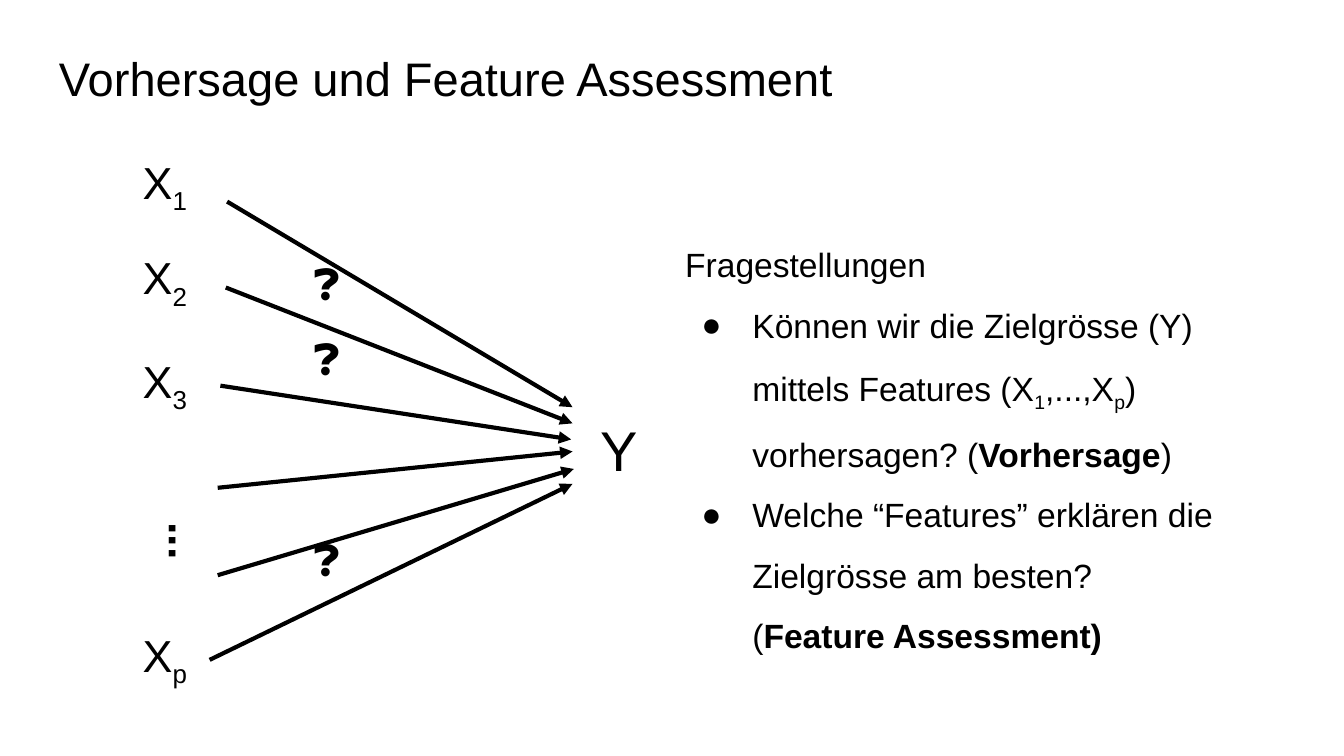
from dataclasses import dataclass
from typing import NamedTuple

from lxml.etree import SubElement as Sub
from pptx import Presentation
from pptx.dml.color import RGBColor as Rgb
from pptx.enum.shapes import MSO_CONNECTOR as Link
from pptx.enum.text import MSO_ANCHOR as Anchor, MSO_AUTO_SIZE as Fit
from pptx.oxml.ns import qn
from pptx.util import Inches, Pt


@dataclass(frozen=True)
class Theme:
    font: str = "Arial"
    ink: str = "000000"
    title: float = 25.2
    node: float = 24
    goal: float = 30
    body: float = 18
    mark: float = 21
    line: float = 2.25


class Run(NamedTuple):
    text: str
    bold: bool = False
    sub: bool = False


class Para(NamedTuple):
    runs: list[Run]
    bullet: bool = False


class Box(NamedTuple):
    """Place in percent of the slide's width and height."""
    x: float
    y: float
    w: float
    h: float


class Arrow(NamedTuple):
    """Ends in percent of the slide's width and height."""
    x1: float
    y1: float
    x2: float
    y2: float


theme = Theme()
deck = Presentation()
deck.slide_width = Inches(10)
deck.slide_height = deck.slide_width * 9 // 16
slide = deck.slides.add_slide(deck.slide_layouts[6])


def scale(place: Box | Arrow) -> list[int]:
    """Turn percent pairs into slide lengths."""
    sides = (deck.slide_width, deck.slide_height) * 2
    return [round(part * side / 100) for part, side in zip(place, sides)]


def add_dot(para) -> None:
    """Give a paragraph a round bullet and a hanging indent."""
    props = para._p.get_or_add_pPr()
    props.set("marL", str(Inches(0.5)))
    props.set("indent", str(Inches(-0.38)))
    color = Sub(props, qn("a:buClr"))
    Sub(color, qn("a:srgbClr"), val=theme.ink)
    Sub(props, qn("a:buFont"), typeface=theme.font)
    Sub(props, qn("a:buChar"), char="●")


def add_text(box: Box, paras: list[Para], size: float, lead: float = 1,
             turn: float = 0, anchor=Anchor.TOP, fit=Fit.SHAPE_TO_FIT_TEXT) -> None:
    shape = slide.shapes.add_textbox(*scale(box))
    shape.rotation = turn
    frame = shape.text_frame
    pad = Inches(0.1)
    form = {"word_wrap": True, "auto_size": fit, "vertical_anchor": anchor,
            "margin_left": pad, "margin_right": pad,
            "margin_top": pad, "margin_bottom": pad}
    for name, value in form.items():
        setattr(frame, name, value)
    for i, item in enumerate(paras):
        para = frame.add_paragraph() if i else frame.paragraphs[0]
        para.line_spacing = lead
        if item.bullet:
            add_dot(para)
        for part in item.runs:
            run = para.add_run()
            run.text = part.text
            style = {"name": theme.font, "size": Pt(size), "bold": part.bold}
            for name, value in style.items():
                setattr(run.font, name, value)
            run.font.color.rgb = Rgb.from_string(theme.ink)
            if part.sub:
                run._r.get_or_add_rPr().set("baseline", "-25000")


def add_arrow(arrow: Arrow) -> None:
    link = slide.shapes.add_connector(Link.STRAIGHT, *scale(arrow))
    link.line.width = Pt(theme.line)
    link.line.color.rgb = Rgb.from_string(theme.ink)
    Sub(link.line._get_or_add_ln(), qn("a:tailEnd"), type="triangle")
    Sub(link._element.spPr, qn("a:effectLst"))


# Title
add_text(Box(3.4, 4.65, 93.2, 11.2),
         [Para([Run("Vorhersage und Feature Assessment")])],
         theme.title, anchor=Anchor.MIDDLE, fit=Fit.NONE)

# Features on the left, target on the right
for sign, top in {"1": 18.67, "2": 31.29, "3": 44.98, "p": 81.24}.items():
    add_text(Box(9.63, top, 11.8, 10.84),
             [Para([Run("X"), Run(sign, sub=True)])], theme.node)
add_text(Box(6.8, 74.49, 14.1, 10.84),
         [Para([Run("...", bold=True)])], theme.node, turn=90)
add_text(Box(43.7, 53.16, 6.3, 12.62), [Para([Run("Y")])], theme.goal)

# Arrows from the features to the target
for arrow in (
    Arrow(16.9, 26.67, 42.6, 53.87),
    Arrow(16.8, 38.04, 42.6, 56),
    Arrow(16.4, 51.02, 42.5, 58.13),
    Arrow(16.2, 64.53, 42.6, 59.73),
    Arrow(16.2, 76.09, 42.7, 62.04),
    Arrow(15.6, 87.29, 42.6, 64),
):
    add_arrow(arrow)

# Questions
add_text(Box(50, 27.86, 42.4, 57.42), [
    Para([Run("Fragestellungen")]),
    Para([Run("Können wir die Zielgrösse (Y) mittels Features (X"),
          Run("1", sub=True), Run(",...,X"), Run("p", sub=True),
          Run(") vorhersagen? ("), Run("Vorhersage", bold=True), Run(")")],
         bullet=True),
    Para([Run("Welche “Features” erklären die Zielgrösse am besten? ("),
          Run("Feature Assessment)", bold=True)], bullet=True),
], theme.body, lead=1.5)

# Question marks on the arrows
for top in (29.2, 39.11, 65.65):
    add_text(Box(22.3, top, 4.2, 9.96), [Para([Run("❓")])], theme.mark, lead=1.5)

deck.save("out.pptx")
